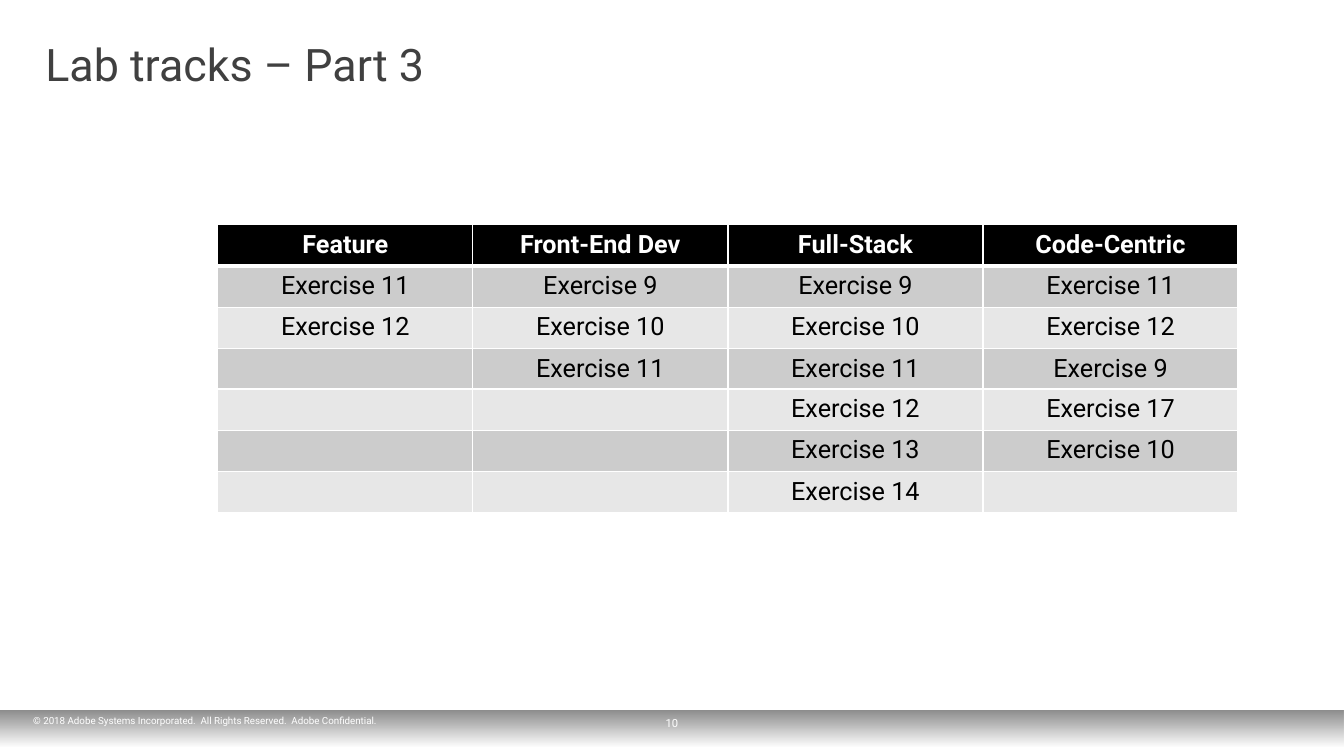
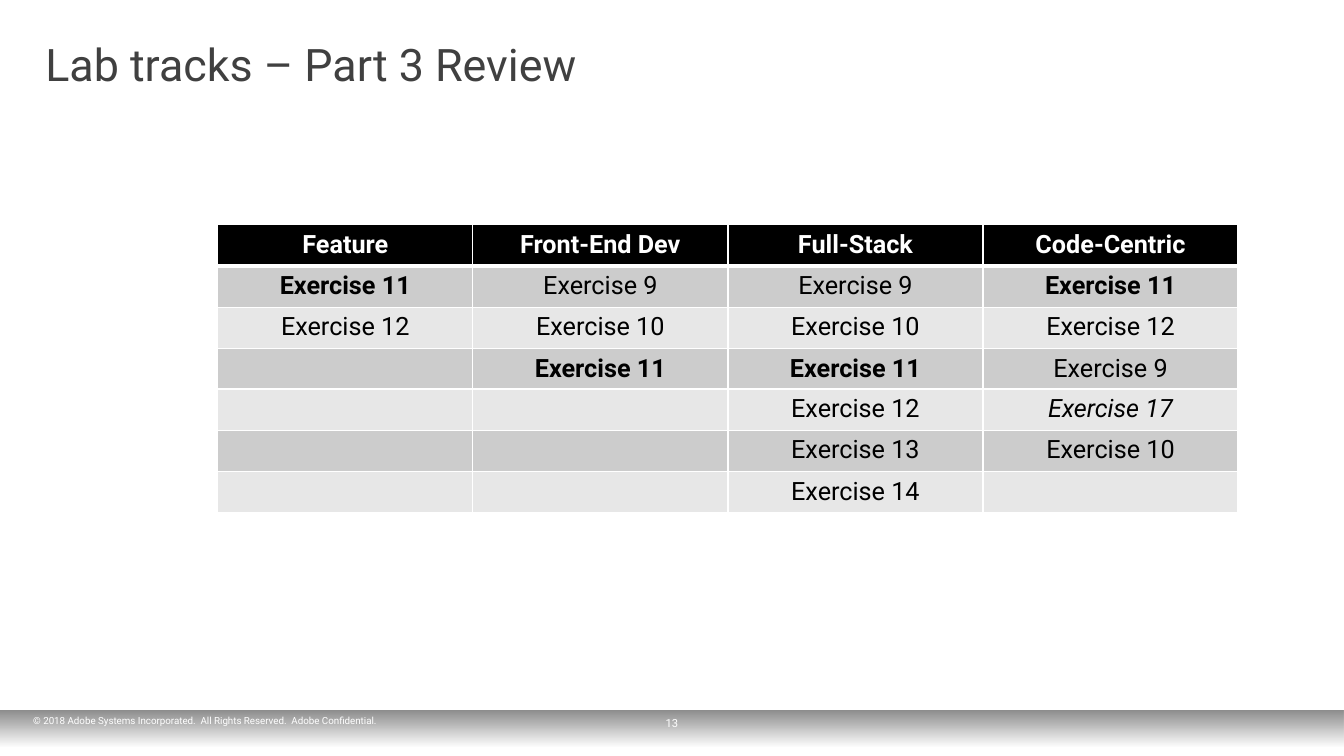
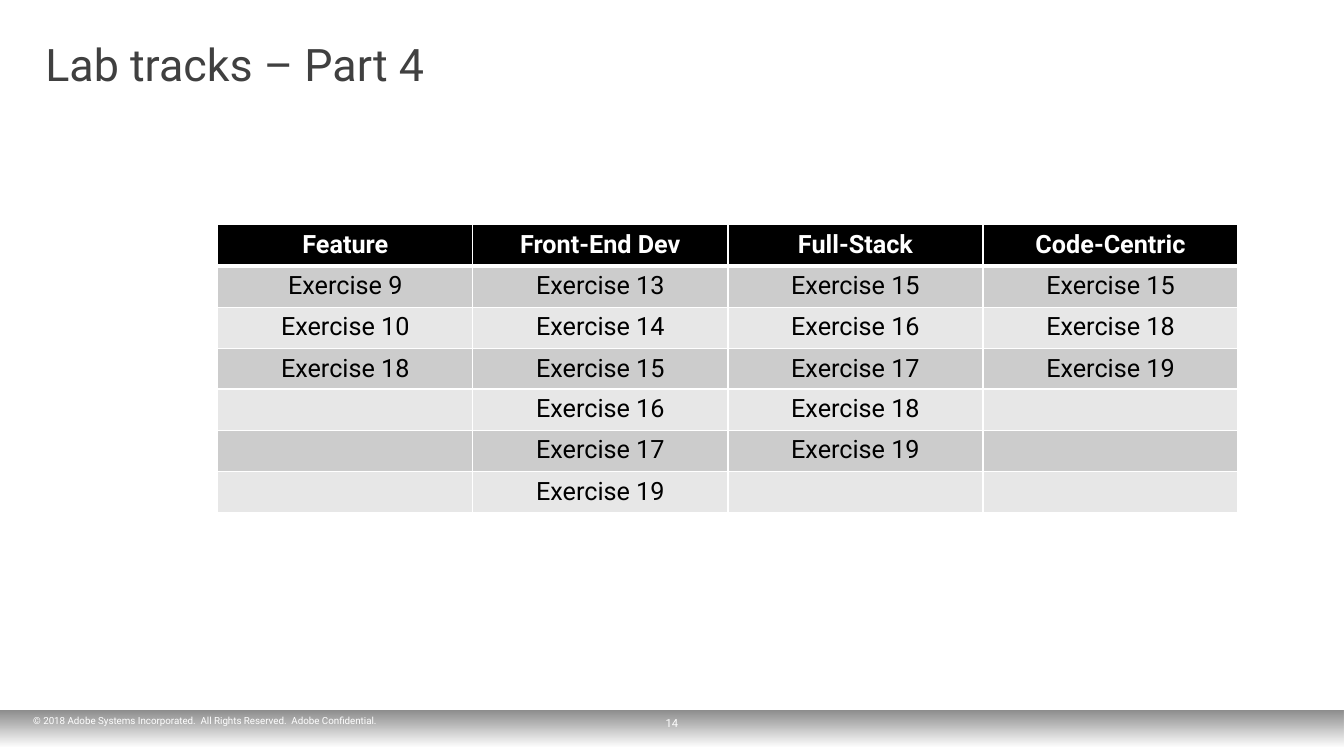
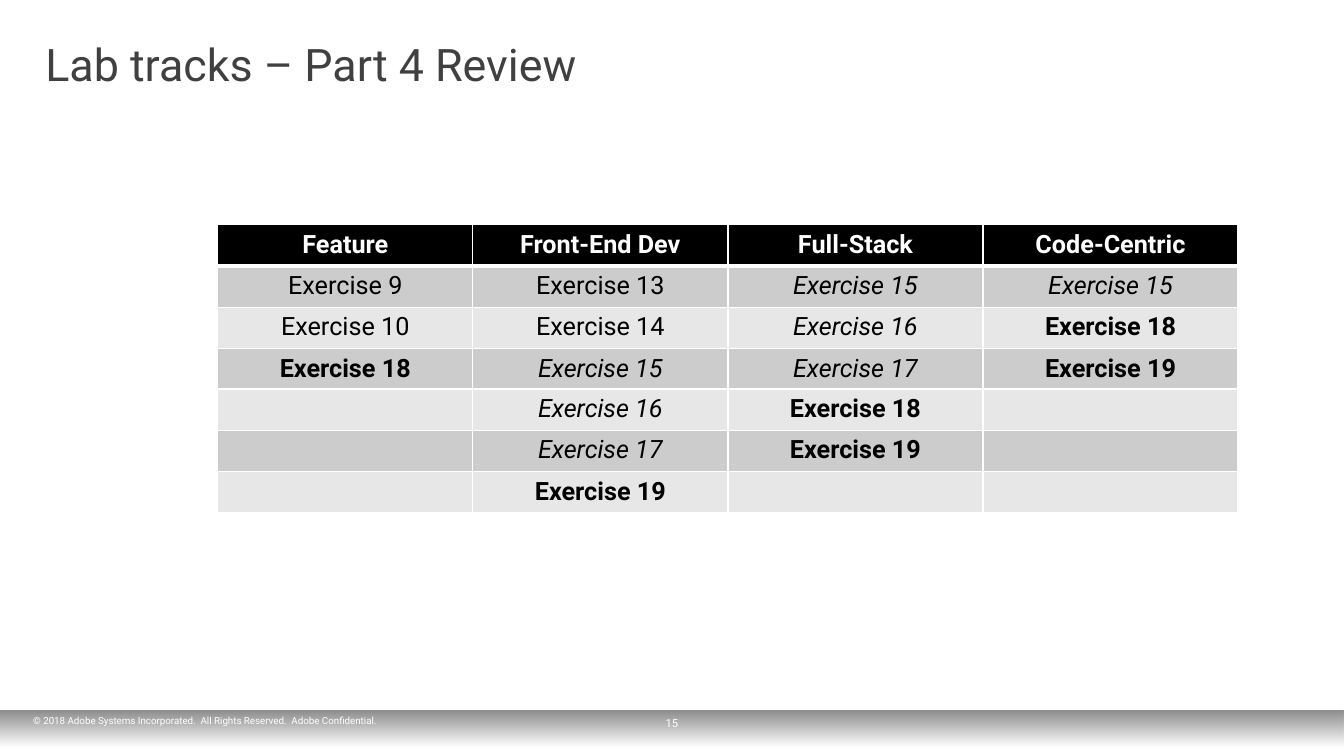
from lxml import etree
from pptx import Presentation, util as u
from pptx.dml.color import RGBColor
from pptx.enum import shapes, text
from pptx.oxml import ns

PX = 9144  # EMU per px, 100 px to the inch
FONT = "Roboto"
COLORS = {
    "white": "FFFFFF",
    "black": "000000",
    "title": "404040",
    "odd_row": "CCCCCC",
    "even_row": "E7E7E7",
}
COPYRIGHT = "© 2018 Adobe Systems Incorporated.  All Rights Reserved.  Adobe Confidential."

# Table geometry
TABLE_LEFT, TABLE_TOP = 216, 223
COLUMN_WIDTH = 253
ROW_HEIGHTS = [41, 41, 41, 32, 41, 41, 41]

# Exercise numbers by track
PART_3 = {
    "Feature": [11, 12],
    "Front-End Dev": [9, 10, 11],
    "Full-Stack": [9, 10, 11, 12, 13, 14],
    "Code-Centric": [11, 12, 9, 17, 10],
}
PART_4 = {
    "Feature": [9, 10, 18],
    "Front-End Dev": [13, 14, 15, 16, 17, 19],
    "Full-Stack": [15, 16, 17, 18, 19],
    "Code-Centric": [15, 18, 19],
}

# Title, page number, tracks, exercises in bold, exercises in italic
PAGES = [
    ("Lab tracks – Part 3", 10, PART_3, [], []),
    ("Lab tracks – Part 3 Review", 13, PART_3, [11], [17]),
    ("Lab tracks – Part 4", 14, PART_4, [], []),
    ("Lab tracks – Part 4 Review", 15, PART_4, [18, 19], [15, 16, 17]),
]


def write(frame, words, size, color, align=text.PP_ALIGN.LEFT, bold=False, italic=False,
          anchor=None, margins=None):
    """Put one formatted line into a text frame."""
    if anchor is not None:
        frame.word_wrap = True
        frame.vertical_anchor = anchor
    if margins is not None:
        frame.margin_left = frame.margin_right = margins[0] * PX
        frame.margin_top = frame.margin_bottom = margins[1] * PX
    paragraph = frame.paragraphs[0]
    paragraph.alignment = align
    run = paragraph.add_run()
    run.text = words
    run.font.name = FONT
    run.font.size = u.Pt(size)
    run.font.bold = bold
    run.font.italic = italic
    run.font.color.rgb = RGBColor.from_string(COLORS[color])


def style_cell(cell, fill, top, bottom):
    """Give a cell white borders (widths in points) and a solid fill."""
    properties = cell._tc.get_or_add_tcPr()
    for side, width in (("L", 1), ("R", 1), ("T", top), ("B", bottom)):
        line = etree.SubElement(properties, ns.qn(f"a:ln{side}"), w=str(u.Pt(width)))
        solid = etree.SubElement(line, ns.qn("a:solidFill"))
        etree.SubElement(solid, ns.qn("a:srgbClr"), val=COLORS["white"])
    cell.fill.solid()
    cell.fill.fore_color.rgb = RGBColor.from_string(COLORS[fill])


presentation = Presentation()
presentation.slide_width = u.Inches(13.33)
presentation.slide_height = u.Inches(7.5)
blank_layout = presentation.slide_layouts[6]
middle, bottom = text.MSO_ANCHOR.MIDDLE, text.MSO_ANCHOR.BOTTOM
center = text.PP_ALIGN.CENTER

for title, number, tracks, bold_exercises, italic_exercises in PAGES:
    slide = presentation.slides.add_slide(blank_layout)

    # Footer band, fading from grey to clear
    band = slide.shapes.add_shape(
        shapes.MSO_SHAPE.RECTANGLE, 0, 705 * PX, presentation.slide_width, 38 * PX)
    band.shadow.inherit = False
    band.line.fill.background()
    band.fill.gradient()
    band.fill.gradient_angle = 270
    for stop, position in zip(band.fill.gradient_stops, (0, 0.95)):
        stop.position = position
        stop.color.rgb = RGBColor.from_string(COLORS["black"])
    for color, alpha in zip(band._element.spPr.iter(ns.qn("a:srgbClr")), (45, 0)):
        etree.SubElement(color, ns.qn("a:alpha"), val=str(alpha * 1000))

    # Copyright, title and page number
    for box, words, options in (
        ((33, 709, 567, 12), COPYRIGHT,
         dict(size=7, color="white", anchor=bottom, margins=(0, 0))),
        ((33, 31, 1266, 65), title,
         dict(size=32, color="title", anchor=middle, margins=(12, 6))),
        ((611, 708, 111, 18), str(number),
         dict(size=8, color="white", align=center, anchor=middle, margins=(12, 6))),
    ):
        textbox = slide.shapes.add_textbox(*(length * PX for length in box))
        write(textbox.text_frame, words, **options)

    # Track table
    table = slide.shapes.add_table(
        len(ROW_HEIGHTS), len(tracks), TABLE_LEFT * PX, TABLE_TOP * PX,
        COLUMN_WIDTH * len(tracks) * PX, sum(ROW_HEIGHTS) * PX).table
    table.horz_banding = False
    for row, height in zip(table.rows, ROW_HEIGHTS):
        row.height = height * PX

    for column, (track, exercises) in enumerate(tracks.items()):
        table.columns[column].width = COLUMN_WIDTH * PX
        header = table.cell(0, column)
        style_cell(header, "black", top=1, bottom=3)
        write(header.text_frame, track, 18, "white", align=center, bold=True)
        for row in range(1, len(ROW_HEIGHTS)):
            cell = table.cell(row, column)
            style_cell(cell, "odd_row" if row % 2 else "even_row",
                       top=3 if row == 1 else 1, bottom=1)
            if row <= len(exercises):
                exercise = exercises[row - 1]
                write(cell.text_frame, f"Exercise {exercise}", 18, "black", align=center,
                      bold=exercise in bold_exercises, italic=exercise in italic_exercises)

presentation.save("out.pptx")
